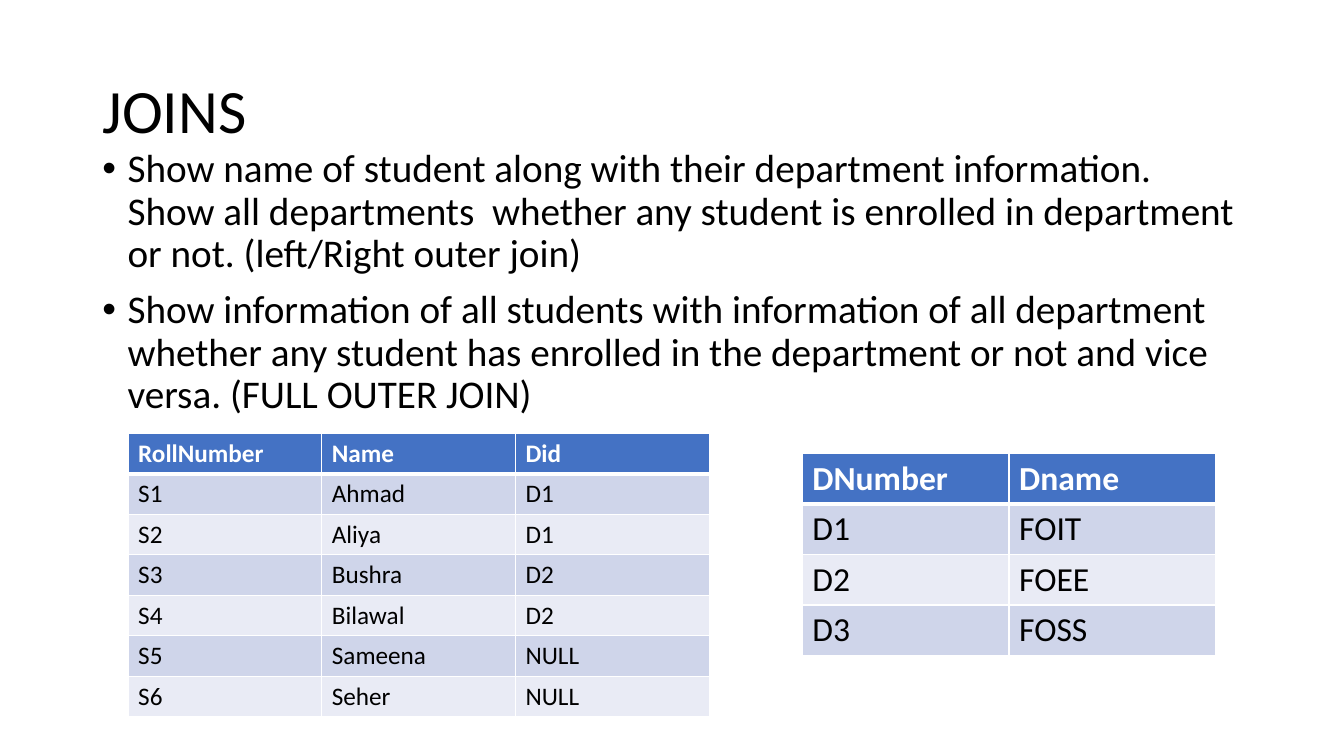
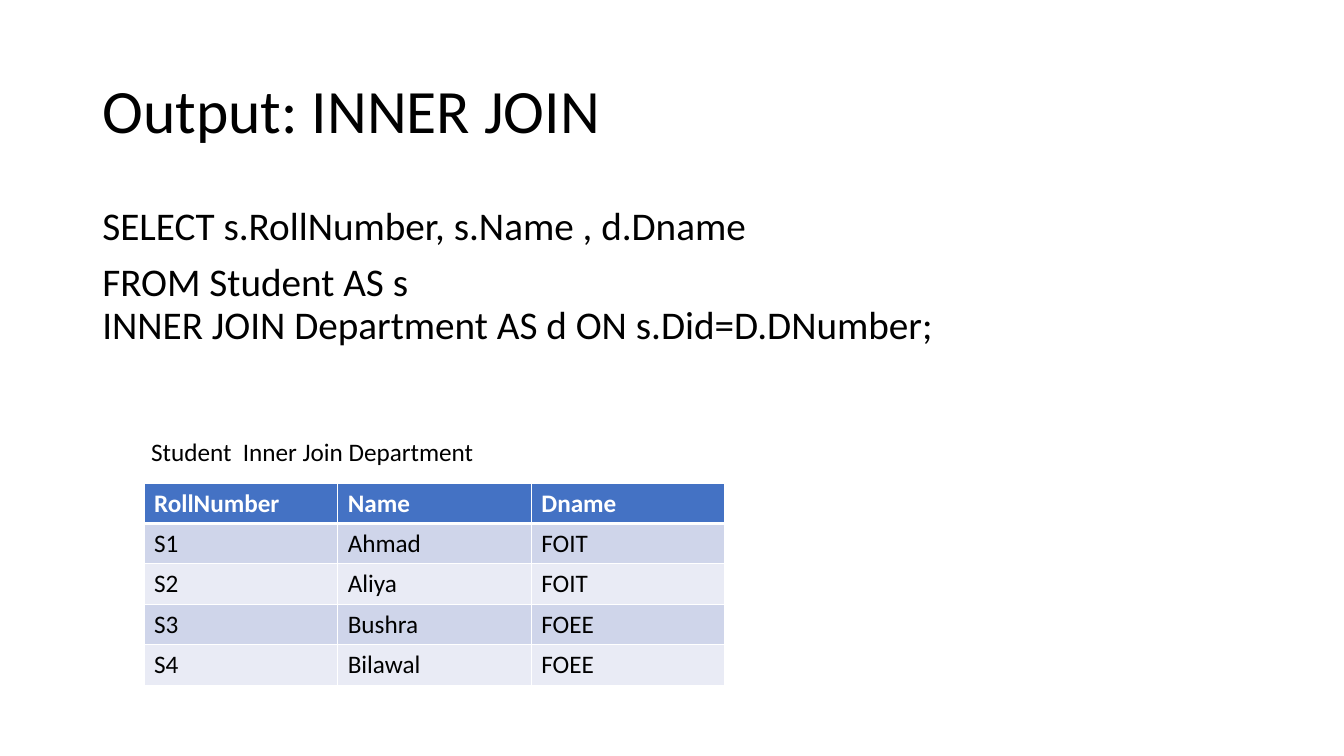
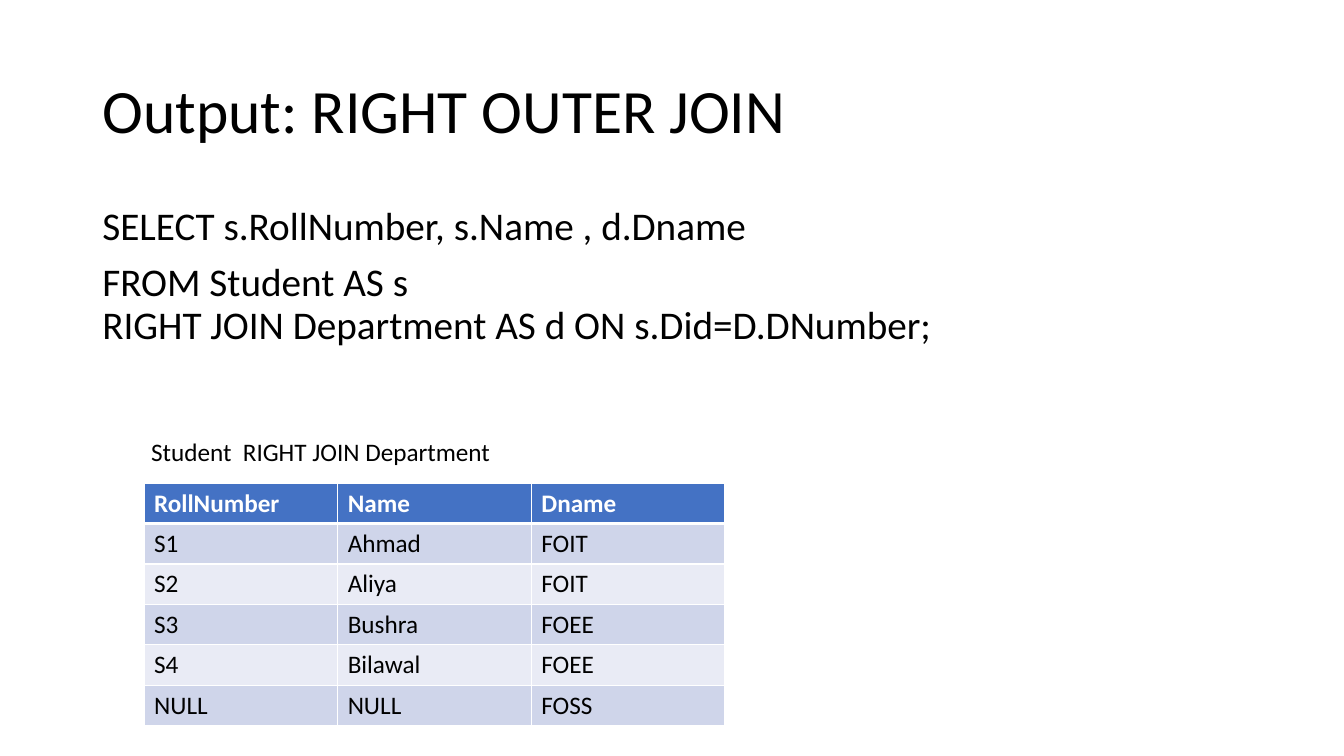
import pptx
import pptx.util
import pptx.dml.color
import pptx.enum.text
import pptx.oxml
import pptx.oxml.ns
from lxml import etree

Cm, Pt = pptx.util.Cm, pptx.util.Pt
RGBColor = pptx.dml.color.RGBColor
qn = pptx.oxml.ns.qn

# Shared style
FONT = "Calibri"
BLACK = RGBColor(0x00, 0x00, 0x00)
WHITE = RGBColor(0xFF, 0xFF, 0xFF)
HEADER = RGBColor(0x44, 0x72, 0xC4)
BANDS = [RGBColor(0xCF, 0xD5, 0xEA), RGBColor(0xE9, 0xEB, 0xF5)]
LEFT, WIDTH = Cm(2.33), Cm(29.21)


def add_run(p, text, size, color=BLACK, bold=False):
    """Add text to a paragraph; a newline becomes a line break."""
    for i, line in enumerate(text.split("\n")):
        if i:
            p.add_line_break()
        r = p.add_run()
        r.text = line
        r.font.name = FONT
        r.font.size = Pt(size)
        r.font.bold = bold
        r.font.color.rgb = color


def add_table(s, rows, left, top, col_width, row_height, size):
    """Add a banded table with white cell borders and a header row."""
    n_rows, n_cols = len(rows), len(rows[0])
    tbl = s.shapes.add_table(n_rows, n_cols, Cm(left), Cm(top),
                             Cm(col_width * n_cols), Cm(row_height * n_rows)).table
    for i, row in enumerate(rows):
        for j, text in enumerate(row):
            cell = tbl.cell(i, j)
            tcPr = cell._tc.get_or_add_tcPr()
            thick = {"lnB": i == 0, "lnT": i == 1}
            for side in ("lnL", "lnR", "lnT", "lnB"):
                width = Pt(3 if thick.get(side) else 1)
                ln = etree.SubElement(tcPr, qn("a:" + side), w=str(width))
                fill = etree.SubElement(ln, qn("a:solidFill"))
                etree.SubElement(fill, qn("a:srgbClr"), val=str(WHITE))
            cell.fill.solid()
            cell.fill.fore_color.rgb = BANDS[(i - 1) % 2] if i else HEADER
            add_run(cell.text_frame.paragraphs[0], text, size,
                    BLACK if i else WHITE, bold=i == 0)


# Content
students = [("RollNumber", "Name", "Did"),
            ("S1", "Ahmad", "D1"), ("S2", "Aliya", "D1"),
            ("S3", "Bushra", "D2"), ("S4", "Bilawal", "D2"),
            ("S5", "Sameena", "NULL"), ("S6", "Seher", "NULL")]
departments = [("DNumber", "Dname"),
               ("D1", "FOIT"), ("D2", "FOEE"), ("D3", "FOSS")]
inner = [("RollNumber", "Name", "Dname"),
         ("S1", "Ahmad", "FOIT"), ("S2", "Aliya", "FOIT"),
         ("S3", "Bushra", "FOEE"), ("S4", "Bilawal", "FOEE")]
right = inner + [("NULL", "NULL", "FOSS")]

# Each table: rows, left, top, column width, row height, text size
slides = [
    dict(title="JOINS", top=3.63, bullets=True, caption=None,
         body=["Show name of student along with their department information. "
               "Show all departments  whether any student is enrolled in "
               "department or not. (left/Right outer join)",
               "Show information of all students with information of all "
               "department whether any student has enrolled in the department "
               "or not and vice versa. (FULL OUTER JOIN)"],
         tables=[(students, 3.23, 10.92, 4.88, 1.02, 18),
                 (departments, 20.22, 11.43, 5.21, 1.27, 24)]),
    dict(title="Output: INNER JOIN", top=5.08, bullets=False,
         caption="Student  Inner Join Department",
         body=["SELECT s.RollNumber, s.Name , d.Dname",
               "FROM Student AS s\n"
               "INNER JOIN Department AS d ON s.Did=D.DNumber;"],
         tables=[(inner, 3.63, 12.17, 4.88, 1.02, 18)]),
    dict(title="Output: RIGHT OUTER JOIN", top=5.08, bullets=False,
         caption="Student  RIGHT JOIN Department",
         body=["SELECT s.RollNumber, s.Name , d.Dname",
               "FROM Student AS s\n"
               "RIGHT JOIN Department AS d ON s.Did=D.DNumber;"],
         tables=[(right, 3.63, 12.17, 4.88, 1.02, 18)]),
]

prs = pptx.Presentation()
prs.slide_width, prs.slide_height = Cm(33.87), Cm(19.05)

for item in slides:
    s = prs.slides.add_slide(prs.slide_layouts[5])

    # Title
    sp = s.shapes.title
    sp.left, sp.top, sp.width, sp.height = LEFT, Cm(1.01), WIDTH, Cm(3.68)
    tf = sp.text_frame
    tf.auto_size = pptx.enum.text.MSO_AUTO_SIZE.NONE
    tf.vertical_anchor = pptx.enum.text.MSO_ANCHOR.MIDDLE
    p = tf.paragraphs[0]
    p.alignment = pptx.enum.text.PP_ALIGN.LEFT
    p.line_spacing = 0.9
    add_run(p, item["title"], 44)

    # Body text
    tf = s.shapes.add_textbox(LEFT, Cm(item["top"]), WIDTH, Cm(12.08)).text_frame
    tf.word_wrap = True
    for i, text in enumerate(item["body"]):
        p = tf.add_paragraph() if i else tf.paragraphs[0]
        p.line_spacing = 0.9
        p.space_before = Pt(10)
        if item["bullets"]:
            pPr = p._p.get_or_add_pPr()
            pPr.set("marL", str(Pt(18)))
            pPr.set("indent", str(-Pt(18)))
            etree.SubElement(pPr, qn("a:buFont"), typeface="Arial")
            etree.SubElement(pPr, qn("a:buChar"), char="•")
        add_run(p, text, 28)

    # Tables
    for table in item["tables"]:
        add_table(s, *table)

    # Table caption
    if item["caption"]:
        tf = s.shapes.add_textbox(Cm(3.56), Cm(10.87), Cm(10.54), Cm(1.02)).text_frame
        tf.word_wrap = True
        add_run(tf.paragraphs[0], item["caption"], 18)

prs.save("out.pptx")
